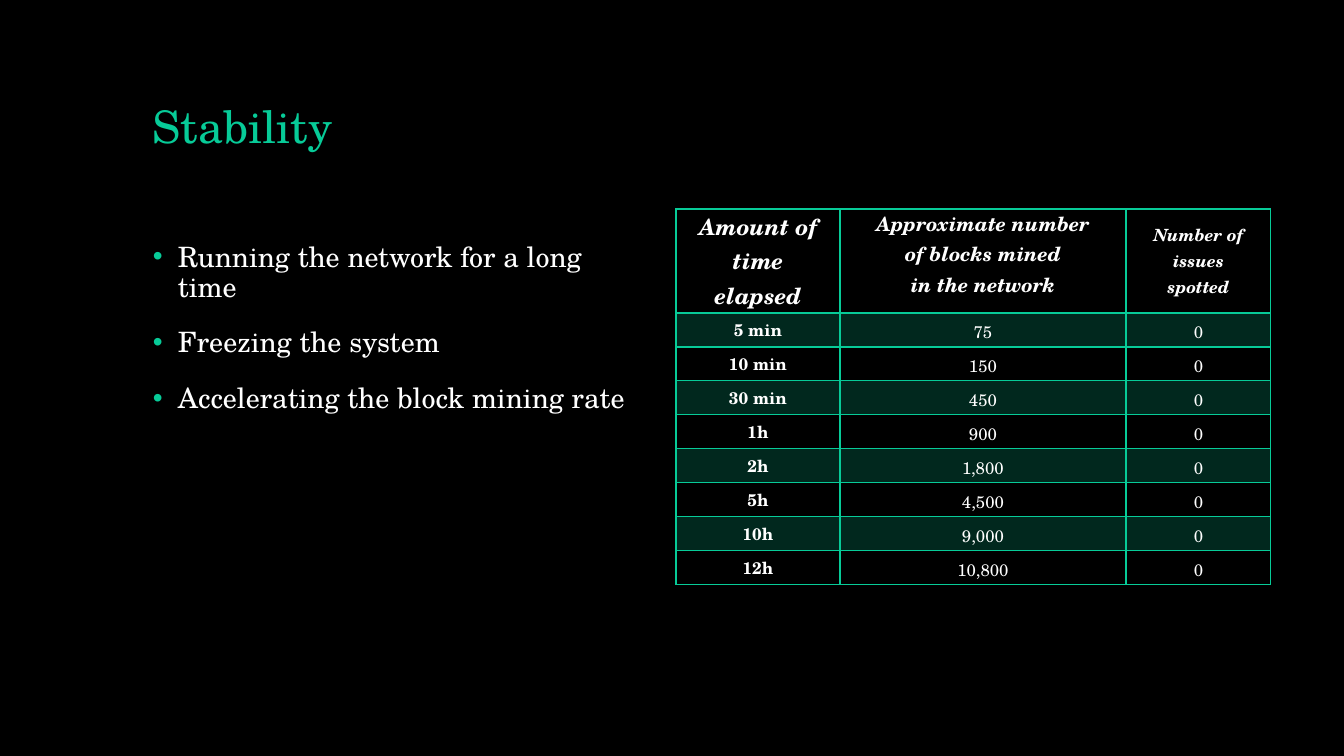
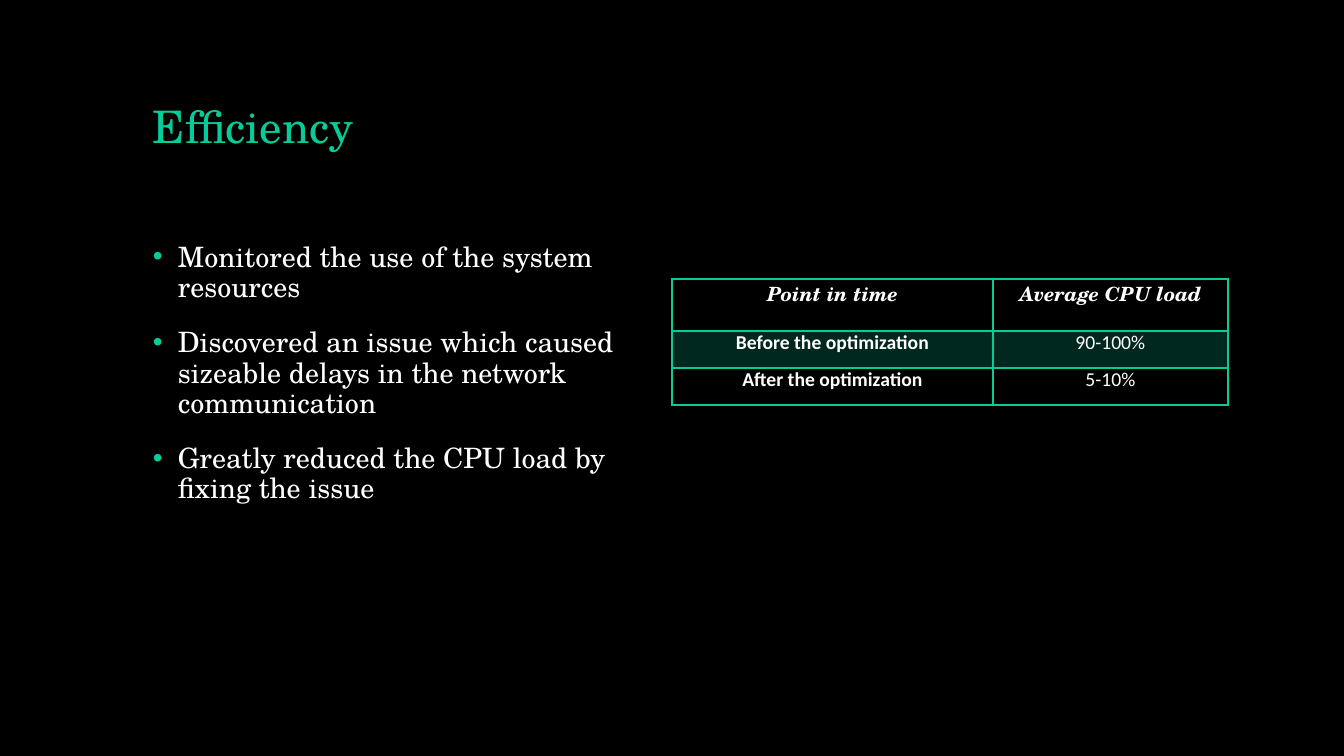
from lxml import etree
from pptx import Presentation
from pptx import util as u
from pptx.dml.color import RGBColor
from pptx.enum import text as t
from pptx.oxml import ns

# Shared look
SERIF, SANS = "TeX Gyre Schola", "Calibri"
GREEN, WHITE, BLACK = "07CB98", "FFFFFF", "000000"
SLIDE_SIZE = (1344, 756)
TITLE_BOX = (143, 40, 1058, 118)
BODY_BOX = (143, 238, 504, 292)
BULLET_INDENT = 25
GRID_LINE, HEADER_LINE = 1, 2.25
TOP, MIDDLE = t.MSO_ANCHOR.TOP, t.MSO_ANCHOR.MIDDLE

# Content
SLIDES = [
    {
        "title": "Stability",
        "points": [
            "Running the network for a long time",
            "Freezing the system",
            "Accelerating the block mining rate",
        ],
        "table": {
            "at": (676, 209),
            "columns": [164, 286, 145],
            "side_insets": [7, 1, 7],
            "header_height": 104,
            "row_height": 34,
            "header": [
                ("Amount of time\nelapsed", 16, MIDDLE),
                ("Approximate number\nof blocks mined\nin the network", 14, TOP),
                ("Number of issues\nspotted", 12, MIDDLE),
            ],
            "rows": [
                ("5 min", "75", "0"),
                ("10 min", "150", "0"),
                ("30 min", "450", "0"),
                ("1h", "900", "0"),
                ("2h", "1,800", "0"),
                ("5h", "4,500", "0"),
                ("10h", "9,000", "0"),
                ("12h", "10,800", "0"),
            ],
            "row_style": {"size": 12, "font": SERIF},
            "row_anchor": MIDDLE,
            "value_spacing": 1.15,
        },
    },
    {
        "title": "Efficiency",
        "points": [
            "Monitored the use of the system resources",
            "Discovered an issue which caused sizeable delays in the network communication",
            "Greatly reduced the CPU load by fixing the issue",
        ],
        "table": {
            "at": (672, 279),
            "columns": [321, 235],
            "side_insets": [7, 7],
            "header_height": 52,
            "row_height": 37,
            "header": [("Point in time", 14, TOP), ("Average CPU load", 14, TOP)],
            "rows": [
                ("Before the optimization", "90-100%"),
                ("After the optimization", "5-10%"),
            ],
            "row_style": {"size": 14, "font": SANS},
            "row_anchor": TOP,
            "value_spacing": None,
        },
    },
]


def px(length):
    return u.Emu(round(length * 914400 / 100.8))


def color(hex_value):
    return RGBColor.from_string(hex_value)


def sub(parent, tag, **attributes):
    return etree.SubElement(parent, ns.qn(tag), attributes)


def write(paragraph, words, size, font=SERIF, ink=WHITE, bold=False, italic=False,
          align=t.PP_ALIGN.LEFT, spacing=None, before=0):
    paragraph.alignment = align
    paragraph.space_before = u.Pt(before)
    if spacing:
        paragraph.line_spacing = spacing
    for number, line in enumerate(words.split("\n")):
        if number:
            paragraph.add_line_break()
        run = paragraph.add_run()
        run.text = line
        run.font.size, run.font.name = u.Pt(size), font
        run.font.bold, run.font.italic = bold, italic
        run.font.color.rgb = color(ink)


def add_bullet(paragraph):
    properties = paragraph._p.get_or_add_pPr()
    indent = px(BULLET_INDENT)
    properties.set("marL", str(indent))
    properties.set("indent", str(-indent))
    sub(sub(properties, "a:buClr"), "a:srgbClr", val=GREEN)
    sub(properties, "a:buFont", typeface="Arial")
    sub(properties, "a:buChar", char="•")


def add_frame(slide, box, anchor):
    frame = slide.shapes.add_textbox(*map(px, box)).text_frame
    frame.word_wrap = True
    frame.vertical_anchor = anchor
    return frame


def add_title(slide, title):
    frame = add_frame(slide, TITLE_BOX, t.MSO_ANCHOR.BOTTOM)
    write(frame.paragraphs[0], title, 32, ink=GREEN, spacing=0.9)


def add_points(slide, points):
    frame = add_frame(slide, BODY_BOX, TOP)
    for number, point in enumerate(points):
        paragraph = frame.add_paragraph() if number else frame.paragraphs[0]
        write(paragraph, point, 20, spacing=0.9, before=18)
        add_bullet(paragraph)


def set_borders(cell, top, bottom):
    properties = cell._tc.get_or_add_tcPr()
    for side, width in (("L", GRID_LINE), ("R", GRID_LINE), ("T", top), ("B", bottom)):
        line = sub(properties, "a:ln" + side, w=str(u.Pt(width)))
        sub(sub(line, "a:solidFill"), "a:srgbClr", val=GREEN)


def set_fill(cell, shaded):
    if not shaded:
        cell.fill.background()
        return
    cell.fill.solid()
    cell.fill.fore_color.rgb = color(GREEN)
    tint = cell._tc.tcPr.find(ns.qn("a:solidFill")).find(ns.qn("a:srgbClr"))
    sub(tint, "a:alpha", val="20000")


def add_data_table(slide, data):
    columns = data["columns"]
    heights = [data["header_height"]] + [data["row_height"]] * len(data["rows"])
    box = (*data["at"], sum(columns), sum(heights))
    table = slide.shapes.add_table(len(heights), len(columns), *map(px, box)).table
    table.first_row = table.horz_banding = False
    for column, width in zip(table.columns, columns):
        column.width = px(width)
    for row, height in zip(table.rows, heights):
        row.height = px(height)

    for r in range(len(heights)):
        for c, inset in enumerate(data["side_insets"]):
            cell = table.cell(r, c)
            cell.margin_left = cell.margin_right = px(inset)
            cell.margin_top = cell.margin_bottom = 0
            set_borders(cell, top=HEADER_LINE if r == 1 else GRID_LINE,
                        bottom=HEADER_LINE if r == 0 else GRID_LINE)
            set_fill(cell, shaded=r % 2 == 1)
            if r == 0:
                words, size, cell.vertical_anchor = data["header"][c]
                style = {"size": size, "bold": True, "italic": True}
            else:
                words = data["rows"][r - 1][c]
                cell.vertical_anchor = data["row_anchor"]
                style = {**data["row_style"], "bold": c == 0,
                         "spacing": data["value_spacing"] if c else None}
            write(cell.text_frame.paragraphs[0], words,
                  align=t.PP_ALIGN.CENTER, **style)


def main():
    prs = Presentation()
    prs.slide_width, prs.slide_height = map(px, SLIDE_SIZE)
    backdrop = prs.slide_master.background.fill
    backdrop.solid()
    backdrop.fore_color.rgb = color(BLACK)
    for content in SLIDES:
        slide = prs.slides.add_slide(prs.slide_layouts[6])
        add_title(slide, content["title"])
        add_points(slide, content["points"])
        add_data_table(slide, content["table"])
    prs.save("out.pptx")


if __name__ == "__main__":
    main()
